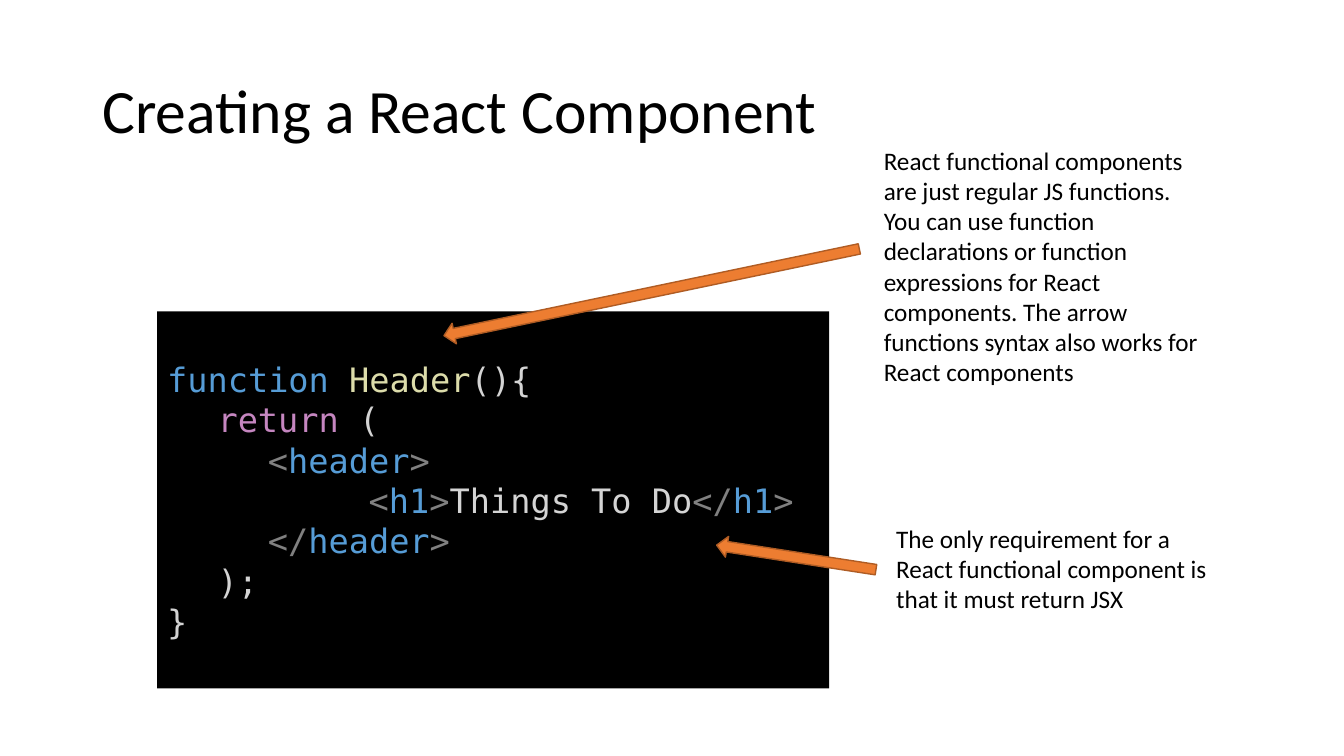
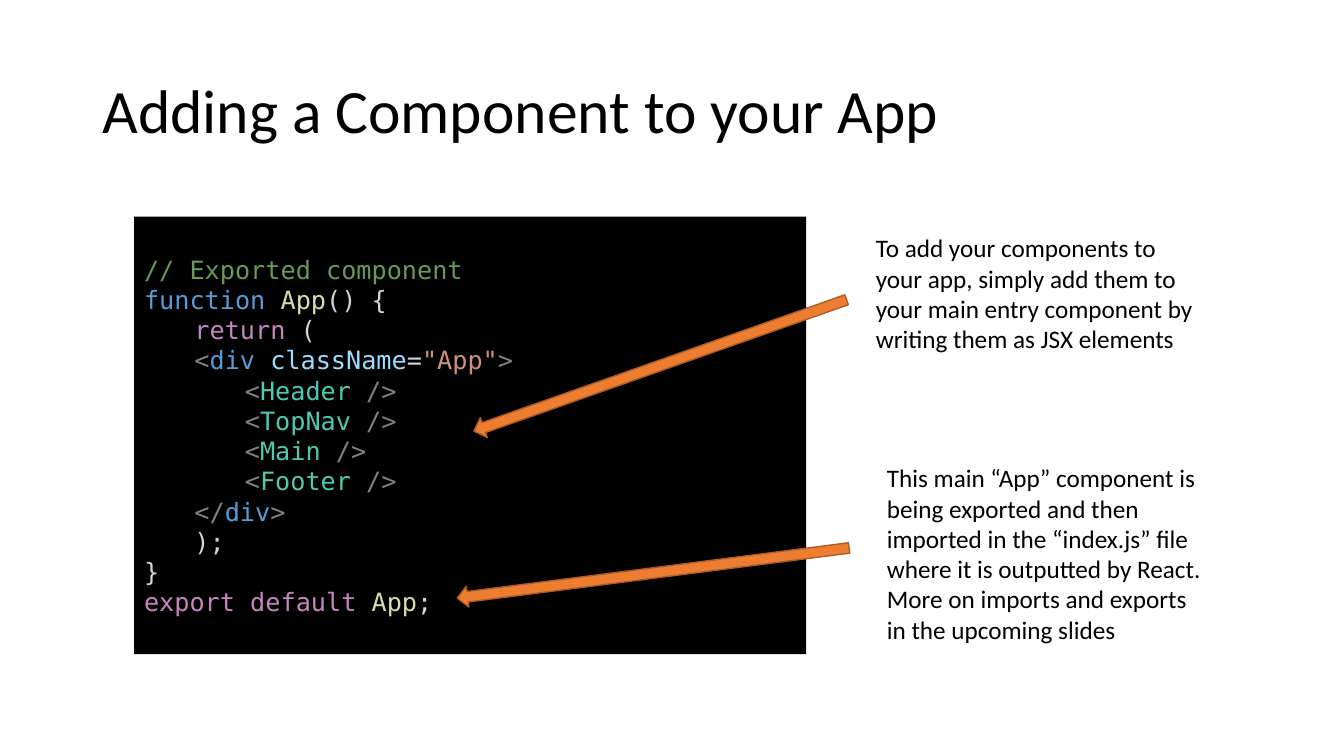
from math import atan2, degrees, hypot

from pptx import Presentation
from pptx.dml.color import RGBColor
from pptx.enum.shapes import MSO_SHAPE as Shape
from pptx.enum.text import MSO_ANCHOR as Anchor, PP_ALIGN as Align
from pptx.util import Pt

BLACK = RGBColor(0x00, 0x00, 0x00)
ORANGE = RGBColor(0xED, 0x7D, 0x31)
ORANGE_EDGE = RGBColor(0xAF, 0x5C, 0x24)

PLAIN = RGBColor(0xD4, 0xD4, 0xD4)
KEYWORD = RGBColor(0x56, 0x9C, 0xD6)
CONTROL = RGBColor(0xC5, 0x86, 0xC0)
FUNCTION = RGBColor(0xDC, 0xDC, 0xAA)
BRACKET = RGBColor(0x80, 0x80, 0x80)
COMPONENT = RGBColor(0x4E, 0xC9, 0xB0)
ATTRIBUTE = RGBColor(0x9C, 0xDC, 0xFE)
STRING = RGBColor(0xCE, 0x91, 0x78)
COMMENT = RGBColor(0x6A, 0x99, 0x55)

TEXT_FONT = "Calibri"
CODE_FONT = "DejaVu Sans Mono"
TITLE_ONLY = 5
INDENT = 36
CODE_WIDTH = 480
NOTE_WIDTH = 245.5
ARROW_THICKNESS = 15


def add_run(paragraph, text, size, color=BLACK, font=TEXT_FONT):
    run = paragraph.add_run()
    run.text = text
    run.font.name = font
    run.font.size = Pt(size)
    run.font.color.rgb = color


def add_titled_slide(presentation, text):
    slide = presentation.slides.add_slide(presentation.slide_layouts[TITLE_ONLY])
    title = slide.shapes.title
    title.left, title.top, title.width, title.height = Pt(66), Pt(28.75), Pt(828), Pt(104.4)
    title.text_frame.vertical_anchor = Anchor.MIDDLE
    paragraph = title.text_frame.paragraphs[0]
    paragraph.alignment = Align.LEFT
    paragraph.line_spacing = 0.9
    add_run(paragraph, text, 44)
    return slide


def tag(name, color=KEYWORD, start="<", end=">"):
    """Return the coloured parts of one JSX tag."""
    return [(start, BRACKET), (name, color), (end, BRACKET)]


def add_code(slide, left, top, height, size, lines):
    """Add a black panel of code; each line is (indent depth, coloured parts)."""
    panel = slide.shapes.add_shape(Shape.RECTANGLE, Pt(left), Pt(top), Pt(CODE_WIDTH), Pt(height))
    panel.shadow.inherit = False
    panel.fill.solid()
    panel.fill.fore_color.rgb = BLACK
    panel.line.fill.background()
    frame = panel.text_frame
    frame.word_wrap = True
    frame.vertical_anchor = Anchor.MIDDLE
    for number, (depth, parts) in enumerate(lines):
        paragraph = frame.add_paragraph() if number else frame.paragraphs[0]
        paragraph.alignment = Align.LEFT
        paragraph.line_spacing = Pt(1.2 * size)
        paragraph.level = depth
        paragraph._p.get_or_add_pPr().set("marL", str(Pt(INDENT * depth)))
        for text, color in parts:
            add_run(paragraph, text, size, color, CODE_FONT)


def add_note(slide, left, top, height, text):
    note = slide.shapes.add_textbox(Pt(left), Pt(top), Pt(NOTE_WIDTH), Pt(height))
    note.text_frame.word_wrap = True
    add_run(note.text_frame.paragraphs[0], text, 18)


def add_arrow(slide, tail, tip):
    """Add a block arrow that runs from the tail point to the tip point."""
    (x1, y1), (x2, y2) = tail, tip
    length = hypot(x2 - x1, y2 - y1)
    arrow = slide.shapes.add_shape(
        Shape.RIGHT_ARROW,
        Pt((x1 + x2 - length) / 2),
        Pt((y1 + y2 - ARROW_THICKNESS) / 2),
        Pt(length),
        Pt(ARROW_THICKNESS),
    )
    arrow.rotation = degrees(atan2(y2 - y1, x2 - x1)) % 360
    arrow.shadow.inherit = False
    arrow.fill.solid()
    arrow.fill.fore_color.rgb = ORANGE
    arrow.line.color.rgb = ORANGE_EDGE
    arrow.line.width = Pt(1)


def build_creating_slide(presentation):
    slide = add_titled_slide(presentation, "Creating a React Component")
    add_code(slide, 112.3, 222.5, 269.3, 24, [
        (0, [("function ", KEYWORD), ("Header", FUNCTION), ("(){", PLAIN)]),
        (1, [("return", CONTROL), (" (", PLAIN)]),
        (2, tag("header")),
        (4, tag("h1") + [("Things To Do", PLAIN)] + tag("h1", start="</")),
        (2, tag("header", start="</")),
        (1, [(");", PLAIN)]),
        (0, [("}", PLAIN)]),
    ])
    add_note(slide, 624.2, 100, 181.4,
             "React functional components are just regular JS functions. You can use "
             "function declarations or function expressions for React components. "
             "The arrow functions syntax also works for React components")
    add_note(slide, 633, 370, 72.7,
             "The only requirement for a React functional component is that it must return JSX")
    add_arrow(slide, (625.7, 406.9), (511.9, 389.4))
    add_arrow(slide, (613.8, 177.8), (317.1, 239.8))


def build_adding_slide(presentation):
    slide = add_titled_slide(presentation, "Adding a Component to your App")
    components = ["Header", "TopNav", "Main", "Footer"]
    add_code(slide, 95.8, 154.8, 312.5, 18, [
        (0, [("// Exported component", COMMENT)]),
        (0, [("function ", KEYWORD), ("App", FUNCTION), ("() {", PLAIN)]),
        (1, [("return", CONTROL), (" (", PLAIN)]),
        (1, [("<", BRACKET), ("div ", KEYWORD), ("className", ATTRIBUTE),
             ("=", PLAIN), ('"App"', STRING), (">", BRACKET)]),
        *[(2, tag(f"{name} ", COMPONENT, end="/>")) for name in components],
        (1, tag("div", start="</")),
        (1, [(");", PLAIN)]),
        (0, [("}", PLAIN)]),
        (0, [("export default ", CONTROL), ("App", FUNCTION), (";", PLAIN)]),
    ])
    add_note(slide, 618.5, 162.7, 94.3,
             "To add your components to your app, simply add them to your main entry "
             "component by writing them as JSX elements")
    add_note(slide, 626.4, 326.9, 138.2,
             "This main “App” component is being exported and then imported in the "
             "“index.js” file where it is outputted by React. More on imports and "
             "exports in the upcoming slides")
    add_arrow(slide, (604.7, 214.1), (338.5, 307.9))
    add_arrow(slide, (606.5, 391.4), (326.6, 427.2))


def main():
    presentation = Presentation()
    presentation.slide_width = Pt(960)
    presentation.slide_height = Pt(540)
    build_creating_slide(presentation)
    build_adding_slide(presentation)
    presentation.save("out.pptx")


if __name__ == "__main__":
    main()
